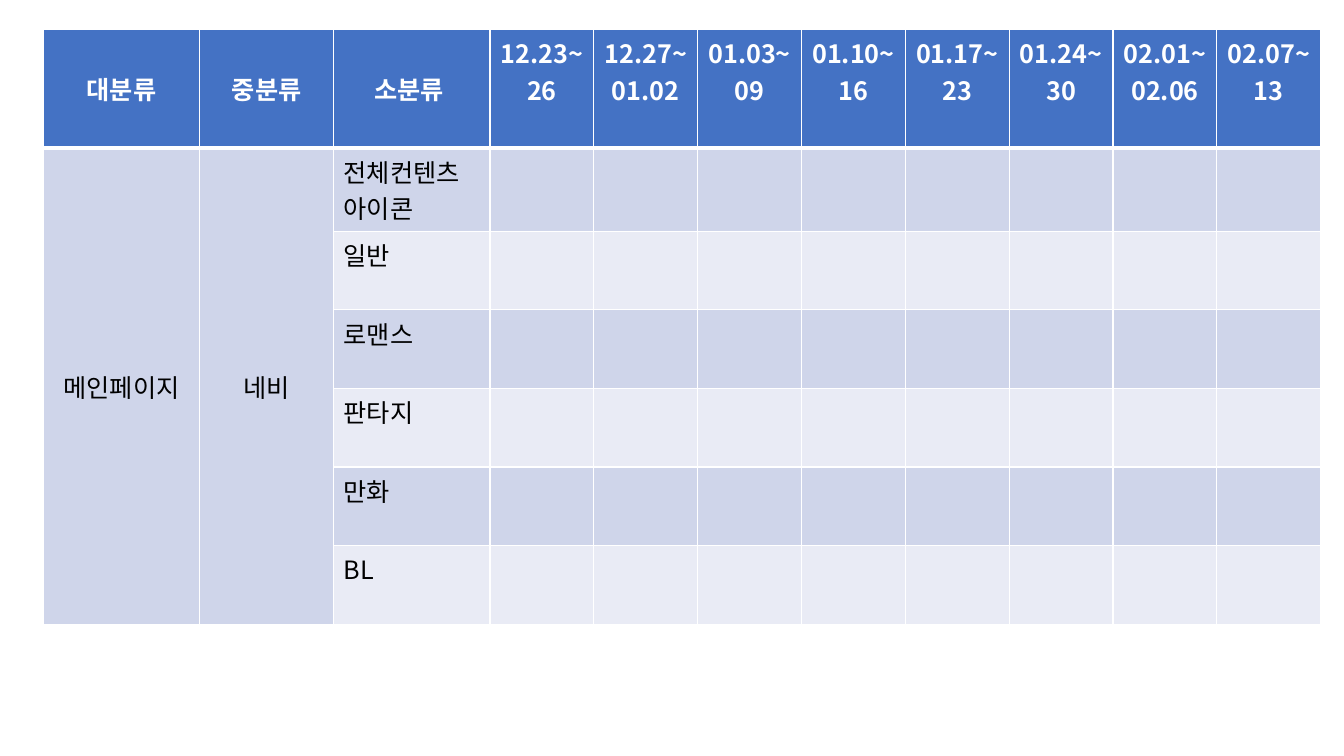
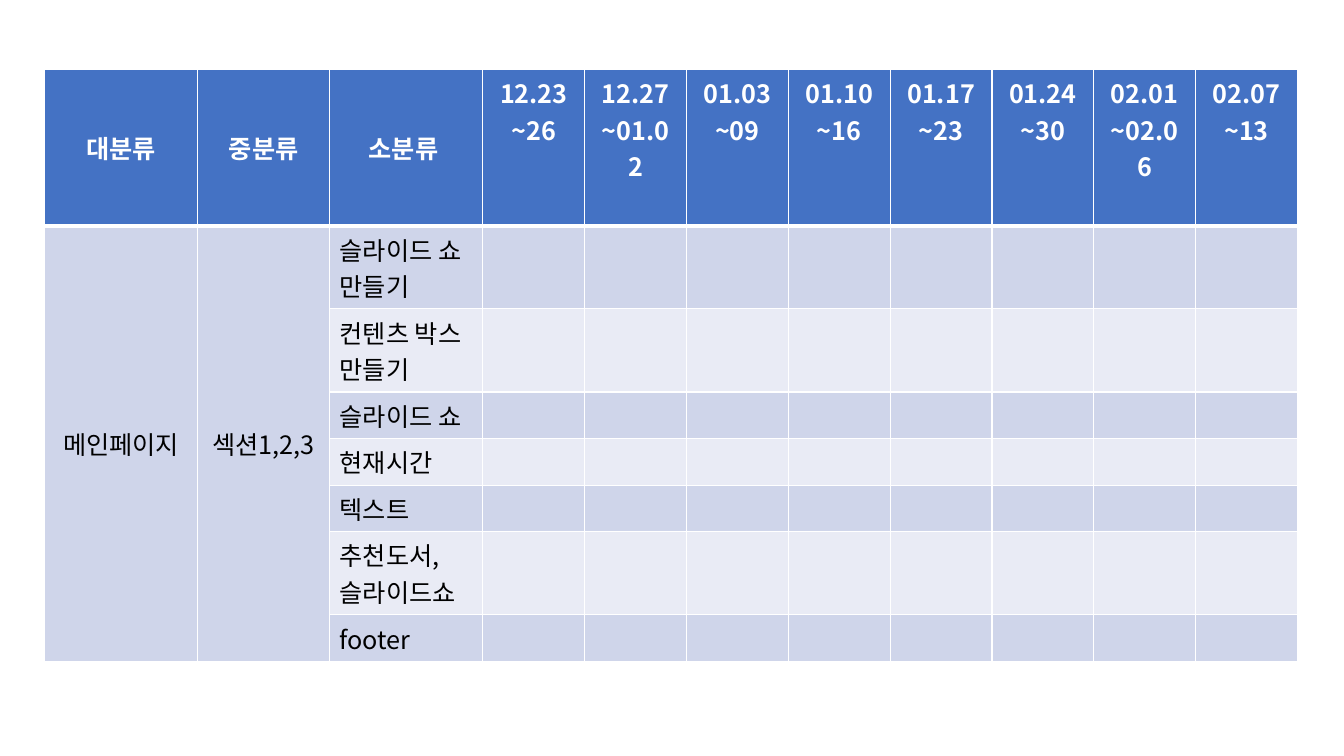
from lxml.etree import SubElement
from pptx import Presentation
from pptx.dml.color import RGBColor
from pptx.enum.text import MSO_ANCHOR, PP_ALIGN
from pptx.oxml.ns import qn
from pptx.util import Pt

EMU_PER_PX = 9144  # 100 px to the inch

HEADINGS = ["대분류", "중분류", "소분류 "]
WEEKS = ["12.23~26", "12.27~01.02", "01.03~09", "01.10~16",
         "01.17~23", "01.24~30", "02.01~02.06", "02.07~13"]


def px(n):
    return n * EMU_PER_PX


def color(hex_code):
    return RGBColor.from_string(hex_code)


class Deck:
    FONT, SIZE = "Noto Sans CJK KR", 18
    WHITE, BLACK, HEADER = "FFFFFF", "000000", "4472C4"
    BANDS = ["CFD5EA", "E9EBF5"]
    THIN, THICK = 1, 3

    def __init__(self, width, height):
        self.prs = Presentation()
        self.prs.slide_width, self.prs.slide_height = px(width), px(height)
        self.s = None

    def slide(self):
        self.s = self.prs.slides.add_slide(self.prs.slide_layouts[6])

    def text(self, cell, text, ink, bold=False, centered=False, middle=False):
        cell.vertical_anchor = MSO_ANCHOR.MIDDLE if middle else MSO_ANCHOR.TOP
        p = cell.text_frame.paragraphs[0]
        p.alignment = PP_ALIGN.CENTER if centered else PP_ALIGN.LEFT
        r = p.add_run()
        r.text = text
        r.font.name, r.font.size, r.font.bold = self.FONT, Pt(self.SIZE), bold
        r.font.color.rgb = color(ink)
        # East Asian typeface for the Korean text
        SubElement(r.font._element, qn("a:ea"), typeface=self.FONT)

    def cell_style(self, cell, fill, top, bottom):
        tc_pr = cell._tc.get_or_add_tcPr()
        for side, width in zip("LRTB", (self.THIN, self.THIN, top, bottom)):
            ln = SubElement(tc_pr, qn(f"a:ln{side}"), w=str(Pt(width)))
            solid = SubElement(ln, qn("a:solidFill"))
            SubElement(solid, qn("a:srgbClr"), val=self.WHITE)
        cell.fill.solid()
        cell.fill.fore_color.rgb = color(fill)

    def schedule(self, left, top, columns, rows, category, group, items):
        frame = self.s.shapes.add_table(len(rows), len(columns), px(left), px(top),
                                        px(sum(columns)), px(sum(rows)))
        table = frame.table
        table.first_row = table.horz_banding = False
        for column, width in zip(table.columns, columns):
            column.width = px(width)
        for row, height in zip(table.rows, rows):
            row.height = px(height)

        # Fills and rules, with a thick rule under the header
        for i, row in enumerate(table.rows):
            for j, cell in enumerate(row.cells):
                merged = j < 2
                band = self.BANDS[0 if merged else (i - 1) % 2]
                self.cell_style(cell, band if i else self.HEADER,
                                self.THICK if i == 1 else self.THIN,
                                self.THIN if i else self.THICK)

        # Header row
        for j, heading in enumerate(HEADINGS + WEEKS):
            self.text(table.cell(0, j), heading, self.WHITE, bold=True,
                      centered=True, middle=j < len(HEADINGS))

        # Merged category cells
        for j, name in enumerate([category, group]):
            table.cell(1, j).merge(table.cell(len(items), j))
            self.text(table.cell(1, j), name, self.BLACK, centered=True, middle=True)

        # Items
        for i, item in enumerate(items, 1):
            self.text(table.cell(i, 2), item, self.BLACK)


def main():
    deck = Deck(1333, 750)

    # Slide 1: navigation
    deck.slide()
    deck.schedule(43, 29, [155, 133, 155] + [103] * len(WEEKS),
                  [118, 82] + [78] * 5, "메인페이지", "네비",
                  ["전체컨텐츠아이콘", "일반", "로맨스", "판타지", "만화", "BL"])

    # Slide 2: sections
    deck.slide()
    deck.schedule(44, 69, [152, 131, 152] + [101] * len(WEEKS),
                  [155, 82, 82, 46, 46, 46, 82, 46], "메인페이지", "섹션1,2,3",
                  ["슬라이드 쇼 만들기", "컨텐츠 박스 만들기", "슬라이드 쇼",
                   "현재시간 ", "텍스트", "추천도서,슬라이드쇼", "footer"])

    deck.prs.save("out.pptx")


if __name__ == "__main__":
    main()
